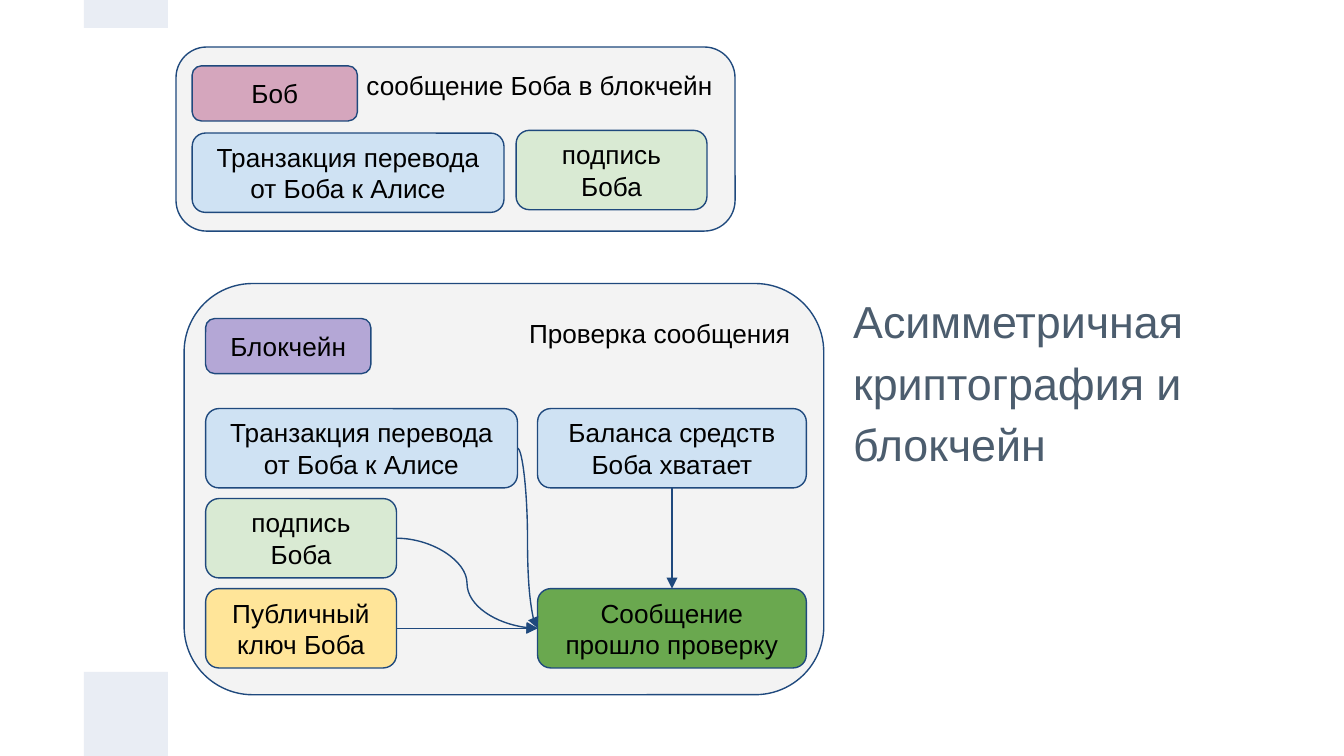
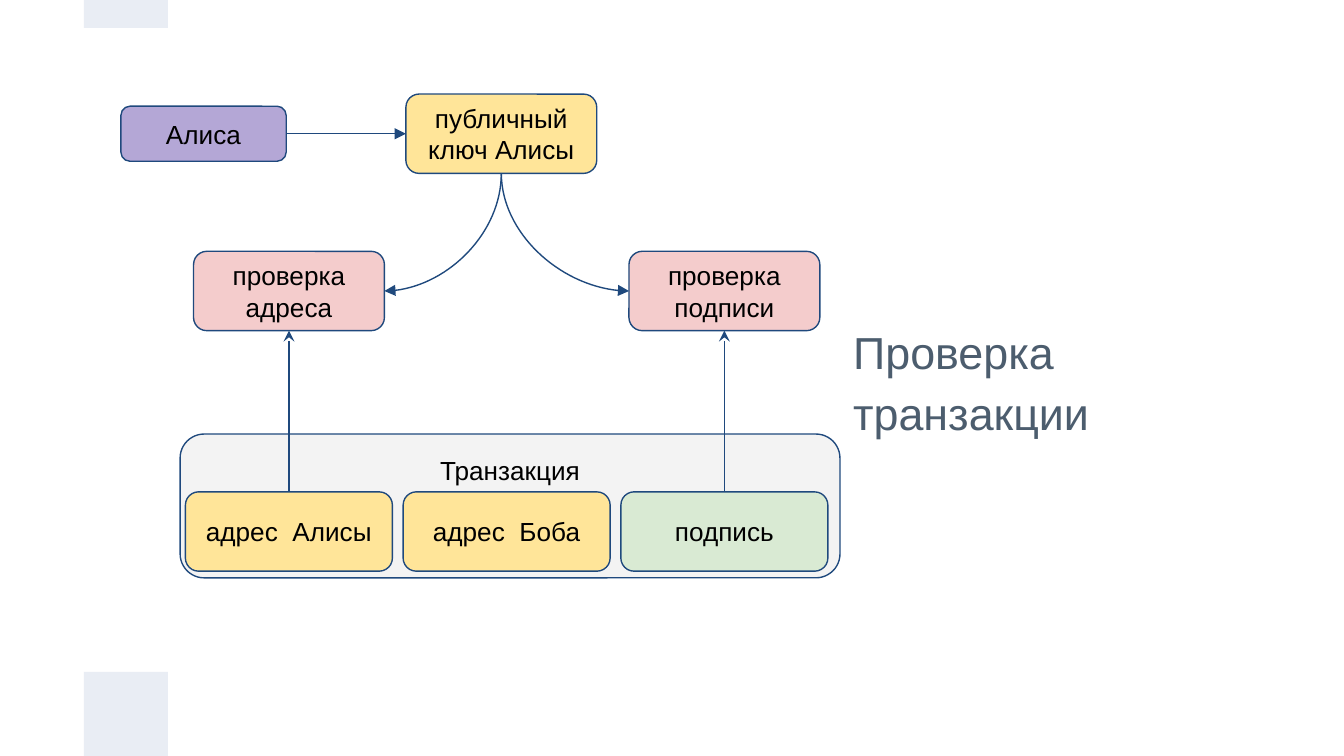
"""Build two slides on how a blockchain checks signed messages."""
from dataclasses import dataclass

from lxml.etree import SubElement
from pptx import Presentation
from pptx.dml.color import RGBColor as Rgb
from pptx.enum.shapes import MSO_CONNECTOR as Link, MSO_SHAPE as Form
from pptx.enum.text import MSO_ANCHOR as Anchor, PP_ALIGN as Align
from pptx.oxml.ns import qn
from pptx.shapes.autoshape import Shape
from pptx.shapes.connector import Connector
from pptx.slide import Slide
from pptx.util import Inches, Pt

TOP, LEFT, BOTTOM, RIGHT = range(4)
WIDTH = Inches(10)
UNIT = WIDTH // 16


@dataclass(frozen=True)
class Theme:
    font: str = "Arial"
    body: int = 14
    head: int = 24
    edge: float = 0.75
    ink: str = "000000"
    title: str = "4C5D6E"
    line: str = "1F497D"
    mark: str = "E9EDF4"
    panel: str = "F3F3F3"
    blue: str = "CFE2F3"
    green: str = "D9EAD3"
    passed: str = "6AA84F"
    yellow: str = "FFE599"
    purple: str = "B4A7D6"
    pink: str = "D5A6BD"
    rose: str = "F4CCCC"


THEME = Theme()


@dataclass(frozen=True)
class Box:
    text: str
    left: float
    top: float
    fill: str
    width: float = 1.42
    height: float = 0.59
    align: Align = Align.CENTER
    anchor: Anchor = Anchor.MIDDLE


def write(shape: Shape, text: str, *, size: int = THEME.body, color: str = THEME.ink,
          align: Align = Align.LEFT, anchor: Anchor = Anchor.MIDDLE,
          spacing: float = 1.0) -> None:
    frame = shape.text_frame
    frame.word_wrap = True
    frame.vertical_anchor = anchor
    frame.margin_left = frame.margin_right = Inches(0.1)
    frame.margin_top = frame.margin_bottom = Inches(0.1)
    para = frame.paragraphs[0]
    para.alignment = align
    para.line_spacing = spacing
    run = para.add_run()
    run.text = text
    run.font.name = THEME.font
    run.font.size = Pt(size)
    run.font.color.rgb = Rgb.from_string(color)


def draw_box(slide: Slide, box: Box) -> Shape:
    shape = slide.shapes.add_shape(
        Form.ROUNDED_RECTANGLE, Inches(box.left), Inches(box.top),
        Inches(box.width), Inches(box.height))
    shape.shadow.inherit = False
    shape.fill.solid()
    shape.fill.fore_color.rgb = Rgb.from_string(box.fill)
    shape.line.color.rgb = Rgb.from_string(THEME.line)
    shape.line.width = Pt(THEME.edge)
    write(shape, box.text, align=box.align, anchor=box.anchor)
    return shape


def draw_all(slide: Slide, *boxes: Box) -> list[Shape]:
    return [draw_box(slide, box) for box in boxes]


def style(wire: Connector, tip: str) -> None:
    wire.line.color.rgb = Rgb.from_string(THEME.line)
    wire.line.width = Pt(THEME.edge)
    SubElement(wire.line._get_or_add_ln(), qn("a:tailEnd"), type=tip)
    SubElement(wire._element.spPr, qn("a:effectLst"))


def join(slide: Slide, start: Shape, out: int, end: Shape, into: int, *,
         kind: Link = Link.STRAIGHT, tip: str = "triangle") -> None:
    wire = slide.shapes.add_connector(kind, 0, 0, 0, 0)
    wire.begin_connect(start, out)
    wire.end_connect(end, into)
    style(wire, tip)


def bend(slide: Slide, start: Shape, end: Shape) -> None:
    x = start.left + start.width // 2
    y = start.top + start.height
    side = 1 if end.left > x else -1
    goal = end.left if side > 0 else end.left + end.width
    drop = end.top + end.height // 2 - y
    reach = abs(goal - x)
    mid_x, mid_y = (x + goal) // 2, y + drop // 2
    half = side * drop // 2
    wire = slide.shapes.add_connector(
        Link.CURVE, mid_x + half, mid_y - reach // 2, mid_x - half, mid_y + reach // 2)
    props = wire._element.spPr
    props.find(qn("a:prstGeom")).set("prst", "curvedConnector2")
    turn = 270 if side > 0 else 90
    props.find(qn("a:xfrm")).set("rot", str(turn * 60000))
    style(wire, "triangle")


def add_slide(deck: Presentation, title: str) -> Slide:
    slide = deck.slides.add_slide(deck.slide_layouts[6])
    for top, height in ((8 * UNIT, UNIT), (0, UNIT // 3)):
        mark = slide.shapes.add_shape(Form.RECTANGLE, UNIT, top, UNIT, height)
        mark.shadow.inherit = False
        mark.fill.solid()
        mark.fill.fore_color.rgb = Rgb.from_string(THEME.mark)
        mark.line.fill.background()
    head = slide.shapes.add_textbox(10 * UNIT, UNIT, 5 * UNIT, 7 * UNIT)
    write(head, title, size=THEME.head, color=THEME.title, spacing=1.15)
    return slide


def add_crypto(deck: Presentation) -> None:
    slide = add_slide(deck, "Асимметричная криптография и блокчейн")
    deal, sign = "Транзакция перевода от Боба к Алисе", "подпись Боба"
    near, far = 1.53, 4
    rows = [3.04 + 0.67 * i for i in range(3)]
    draw_all(
        slide,
        Box("Проверка сообщения", 1.37, 2.11, THEME.panel, 4.76, 3.06,
            Align.RIGHT, Anchor.TOP),
        Box("сообщение Боба в блокчейн", 1.31, 0.35, THEME.panel, 4.16, 1.37,
            Align.RIGHT, Anchor.TOP),
        Box("Боб", 1.43, 0.49, THEME.pink, 1.23, 0.41),
        Box(deal, 1.43, 0.99, THEME.blue, 2.32),
        Box(sign, 3.84, 0.97, THEME.green),
        Box("Блокчейн", near, 2.37, THEME.purple, 1.23, 0.41))
    order, seal, key, funds, done = draw_all(
        slide,
        Box(deal, near, rows[0], THEME.blue, 2.32),
        Box(sign, near, rows[1], THEME.green),
        Box("Публичный ключ Боба", near, rows[2], THEME.yellow),
        Box("Баланса средств Боба хватает", far, rows[0], THEME.blue, 2),
        Box("Сообщение прошло проверку", far, rows[2], THEME.passed, 2))
    join(slide, key, RIGHT, done, LEFT)
    for source in (seal, order):
        join(slide, source, RIGHT, done, LEFT, kind=Link.CURVE)
    join(slide, funds, BOTTOM, done, TOP)


def add_check(deck: Presentation) -> None:
    slide = add_slide(deck, "Проверка транзакции")
    alice, key, place, proof = draw_all(
        slide,
        Box("Алиса", 0.9, 0.79, THEME.purple, 1.23, 0.41),
        Box("публичный ключ Алисы", 3.02, 0.7, THEME.yellow),
        Box("проверка адреса", 1.44, 1.87, THEME.rose),
        Box("проверка подписи", 4.68, 1.87, THEME.rose))
    draw_box(slide, Box("Транзакция", 1.34, 3.23, THEME.panel, 4.91, 1.07,
                        anchor=Anchor.TOP))
    parts = (("адрес  Алисы", THEME.yellow), ("адрес  Боба", THEME.yellow),
             ("подпись", THEME.green))
    owner, _, seal = draw_all(
        slide, *(Box(text, 1.38 + 1.62 * i, 3.66, fill, 1.54)
                 for i, (text, fill) in enumerate(parts)))
    join(slide, alice, RIGHT, key, LEFT)
    for test, part in ((place, owner), (proof, seal)):
        bend(slide, key, test)
        join(slide, part, TOP, test, BOTTOM, tip="stealth")


def main() -> None:
    deck = Presentation()
    deck.slide_width, deck.slide_height = WIDTH, 9 * UNIT
    add_crypto(deck)
    add_check(deck)
    deck.save("out.pptx")


if __name__ == "__main__":
    main()
